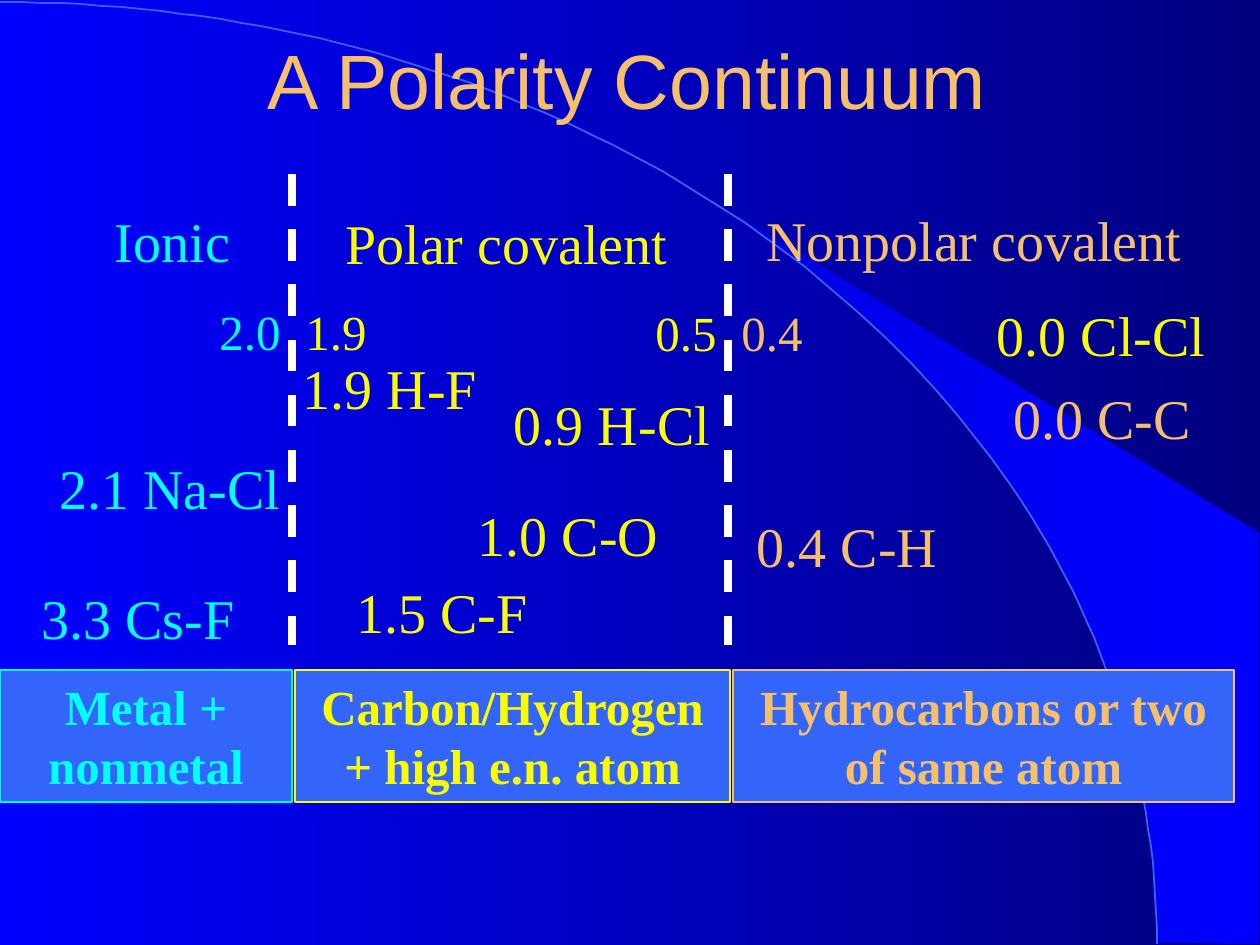
import math
from dataclasses import dataclass

from lxml import etree
from pptx import Presentation
from pptx import util as u
from pptx.dml.color import RGBColor
from pptx.enum import dml, shapes, text
from pptx.oxml import ns

SCALE = 914400 / 126


@dataclass(frozen=True)
class Theme:
    cyan: str = "00FFFF"
    yellow: str = "FAFD00"
    orange: str = "F6BF69"
    white: str = "FFFFFF"
    panel: str = "3365FB"
    background: tuple = ("0000FF", "00007F")
    wedge: tuple = ("0000E5", "0000FF")
    heading_font: str = "Arial"
    body_font: str = "Times New Roman"
    title_size: int = 44
    label_size: int = 32
    small_size: int = 28


THEME = Theme()


def px(length):
    return u.Emu(round(length * SCALE))


def rgb(value):
    return RGBColor.from_string(value)


def add_run(paragraph, content, *, color, size, font=THEME.body_font, bold=False):
    run = paragraph.add_run()
    run.text = content
    run.font.name = font
    run.font.size = u.Pt(size)
    run.font.bold = bold
    run.font.color.rgb = rgb(color)


def paint_gradient(fill, colors):
    fill.gradient()
    fill.gradient_angle = 0
    for stop, position, color in zip(fill.gradient_stops, (0, 1), colors):
        stop.position = position
        stop.color.rgb = rgb(color)


class SlideBuilder:
    def __init__(self, theme, slide):
        self.theme = theme
        self.slide = slide

    def background(self):
        paint_gradient(self.slide.background.fill, self.theme.background)

    def outline(self, points, close):
        builder = self.slide.shapes.build_freeform(*points[0], scale=SCALE)
        builder.add_line_segments(points[1:], close=close)
        shape = builder.convert_to_shape()
        shape.shadow.inherit = False
        return shape

    def wedge(self, points):
        shape = self.outline(points, close=True)
        paint_gradient(shape.fill, self.theme.wedge)
        shape.line.fill.background()

    def arc(self, left, top, width, height, steps=90):
        angles = [math.pi / 2 * step / steps for step in range(steps + 1)]
        points = [(left + width * math.sin(angle),
                   top + height * (1 - math.cos(angle))) for angle in angles]
        shape = self.outline(points, close=False)
        shape.fill.background()
        shape.line.color.rgb = rgb(self.theme.panel)
        shape.line.width = u.Pt(1)

    def label(self, box, content, color, *, anchor=text.MSO_ANCHOR.TOP, **style):
        shape = self.slide.shapes.add_textbox(*map(px, box))
        self.centered_text(shape, content, color, anchor, **style)

    def centered_text(self, shape, content, color, anchor, **style):
        frame = shape.text_frame
        frame.word_wrap = True
        frame.vertical_anchor = anchor
        paragraph = frame.paragraphs[0]
        paragraph.alignment = text.PP_ALIGN.CENTER
        add_run(paragraph, content, color=color,
                **{"size": self.theme.label_size, **style})

    def threshold(self, left, top, values, colors, gap=86):
        shape = self.slide.shapes.add_textbox(px(left), px(top), px(186), px(72))
        shape.text_frame.word_wrap = True
        paragraph = shape.text_frame.paragraphs[0]
        properties = paragraph._p.get_or_add_pPr()
        tabs = etree.SubElement(properties, ns.qn("a:tabLst"))
        etree.SubElement(tabs, ns.qn("a:tab"), pos=str(px(gap)), algn="l")
        for content, color in zip((values[0] + "\t", values[1]), colors):
            add_run(paragraph, content, color=color, size=self.theme.small_size)

    def divider(self, x, top, bottom):
        line = self.slide.shapes.add_connector(
            shapes.MSO_CONNECTOR.STRAIGHT, px(x), px(top), px(x), px(bottom))
        line.line.color.rgb = rgb(self.theme.white)
        line.line.width = u.Pt(4.5)
        line.line.dash_style = dml.MSO_LINE.DASH
        etree.SubElement(line._element.spPr, ns.qn("a:effectLst"))

    def panel(self, left, width, content, color):
        shape = self.slide.shapes.add_shape(
            shapes.MSO_SHAPE.RECTANGLE, px(left), px(670), px(width), px(132))
        shape.shadow.inherit = False
        shape.fill.solid()
        shape.fill.fore_color.rgb = rgb(self.theme.panel)
        shape.line.color.rgb = rgb(color)
        shape.line.width = u.Pt(1)
        self.centered_text(shape, content, color, text.MSO_ANCHOR.TOP,
                           size=self.theme.small_size, bold=True)


WEDGE = [(1159, 942), (1259, 944), (1259, 533), (742, 218), (786, 251),
         (823, 280), (863, 315), (902, 353), (960, 416), (1012, 484),
         (1048, 543), (1081, 604), (1106, 665), (1125, 721), (1138, 767),
         (1150, 827), (1155, 877)]

CATEGORIES = [
    (64, 200, 217, "Ionic", THEME.cyan),
    (295, 202, 423, "Polar covalent", THEME.yellow),
    (747, 199, 454, "Nonpolar covalent", THEME.orange),
]

BONDS = [
    (484, 383, "0.9 H-Cl", THEME.yellow),
    (440, 494, "1.0 C-O", THEME.yellow),
    (42, 447, "2.1 Na-Cl", THEME.cyan),
    (974, 377, "0.0 C-C", THEME.orange),
    (719, 505, "0.4 C-H", THEME.orange),
    (314, 571, "1.5 C-F", THEME.yellow),
    (10, 577, "3.3 Cs-F", THEME.cyan),
    (973, 294, "0.0 Cl-Cl", THEME.yellow),
    (262, 347, "1.9 H-F", THEME.yellow),
]

PANELS = [
    (0, 292, "Metal + nonmetal", THEME.cyan),
    (733, 501, "Hydrocarbons or two of same atom", THEME.orange),
    (295, 435, "Carbon/Hydrogen + high e.n. atom", THEME.yellow),
]


def main():
    presentation = Presentation()
    presentation.slide_width = px(1260)
    presentation.slide_height = px(945)
    slide = presentation.slides.add_slide(presentation.slide_layouts[6])
    builder = SlideBuilder(THEME, slide)

    builder.background()
    builder.wedge(WEDGE)
    builder.arc(0, 2, 1157, 942)
    builder.label((92, 0, 1071, 158), "A Polarity Continuum", THEME.orange,
                  anchor=text.MSO_ANCHOR.MIDDLE, size=THEME.title_size,
                  font=THEME.heading_font)
    for left, top, width, content, color in CATEGORIES:
        builder.label((left, top, width, 79), content, color)
    for x in (292, 728):
        builder.divider(x, 174, 645)
    builder.threshold(643, 296, ("0.5", "0.4"), (THEME.yellow, THEME.orange))
    builder.threshold(207, 295, ("2.0", "1.9"), (THEME.cyan, THEME.yellow))
    for left, top, content, color in BONDS:
        builder.label((left, top, 256, 79), content, color)
    for panel in PANELS:
        builder.panel(*panel)

    presentation.save("out.pptx")


if __name__ == "__main__":
    main()
